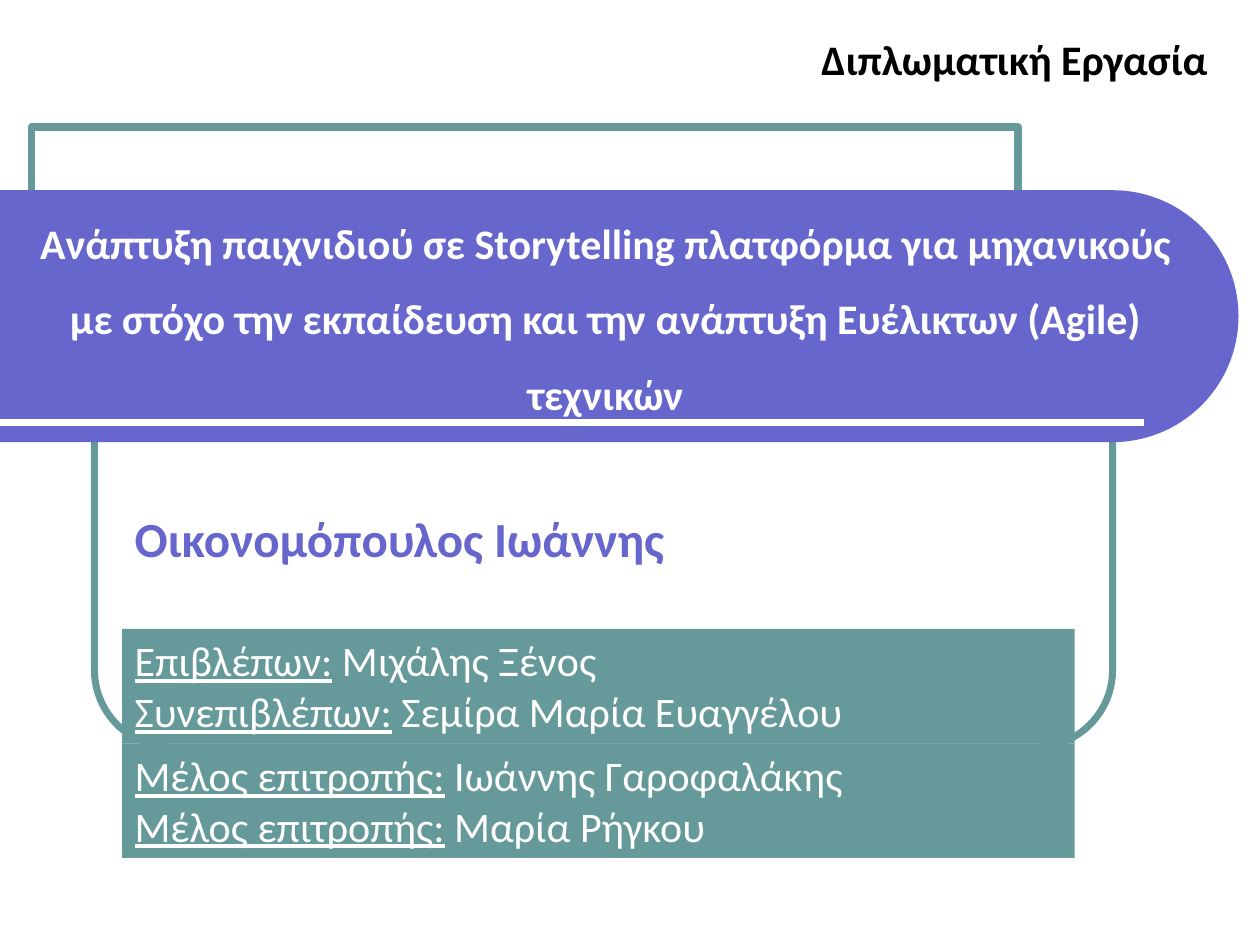
from dataclasses import dataclass
from math import cos, pi, sin

from lxml.etree import SubElement
from pptx import Presentation
from pptx.dml.color import RGBColor
from pptx.enum.shapes import MSO_CONNECTOR, MSO_SHAPE
from pptx.enum.text import MSO_ANCHOR, MSO_AUTO_SIZE, PP_ALIGN
from pptx.oxml.ns import qn
from pptx.util import Inches, Pt


@dataclass(frozen=True)
class Theme:
    font: str = "Calibri"
    violet: RGBColor = RGBColor(0x66, 0x66, 0xCC)
    teal: RGBColor = RGBColor(0x66, 0x99, 0x99)
    white: RGBColor = RGBColor(0xFF, 0xFF, 0xFF)
    black: RGBColor = RGBColor(0, 0, 0)
    body: int = 24
    name: int = 28


theme = Theme()
prs = Presentation()
prs.slide_width, prs.slide_height = Inches(10), Inches(7.5)
COL, ROW = prs.slide_width / 100, prs.slide_height / 75  # 100 x 75 grid
s = prs.slides.add_slide(prs.slide_layouts[5])


def box(left, top, width, height):
    return [round(v) for v in (left * COL, top * ROW, width * COL, height * ROW)]


def add_run(p, text, color, size=theme.body, bold=False, underline=False):
    r = p.add_run()
    r.text = text
    r.font.name, r.font.size = theme.font, Pt(size)
    r.font.bold, r.font.underline = bold, underline
    r.font.color.rgb = color


# Teal frames behind the banner
for kind, place, weight in (
    (MSO_SHAPE.ROUNDED_RECTANGLE, (7.5, 22.6, 80.8, 36.7), 4),
    (MSO_SHAPE.RECTANGLE, (2.5, 10.1, 78.3, 10.8), 4.5),
):
    sp = s.shapes.add_shape(kind, *box(*place))
    sp.shadow.inherit = False
    sp.line.color.rgb, sp.line.width = theme.teal, Pt(weight)
    if kind == MSO_SHAPE.RECTANGLE:
        sp.fill.solid()
        sp.fill.fore_color.rgb = theme.white
    else:
        sp.fill.background()

# Banner with a half-round right end
radius, mid_x, mid_y, steps = 10, 88.3, 25.1, 60
angles = [pi * i / steps - pi / 2 for i in range(steps + 1)]
arc = [((mid_x + radius * cos(a)) * COL, (mid_y + radius * sin(a)) * ROW) for a in angles]
fb = s.shapes.build_freeform(0, round((mid_y - radius) * ROW))
fb.add_line_segments([*arc, (0, (mid_y + radius) * ROW)], close=True)
banner = fb.convert_to_shape()
banner.shadow.inherit = False
banner.fill.solid()
banner.fill.fore_color.rgb = theme.violet
banner.line.fill.background()

# White rule along the banner
rule = s.shapes.add_connector(MSO_CONNECTOR.STRAIGHT, *box(0, 33.5, 90.8, 33.5))
rule.line.color.rgb, rule.line.width = theme.white, Pt(4)
SubElement(rule.element.spPr, qn("a:effectLst"))

# Title, brought in front of the banner
title = s.shapes.title
title.element.getparent().append(title.element)
title.left, title.top, title.width, title.height = box(1.2, 16, 93.7, 16.5)
tf = title.text_frame
tf.word_wrap, tf.auto_size = True, MSO_AUTO_SIZE.NONE
tf.vertical_anchor = MSO_ANCHOR.MIDDLE
p = tf.paragraphs[0]
p.alignment, p.line_spacing = PP_ALIGN.CENTER, 1.5
add_run(p, "Ανάπτυξη παιχνιδιού σε Storytelling πλατφόρμα για μηχανικούς με στόχο "
           "την εκπαίδευση και την ανάπτυξη Ευέλικτων (Agile) τεχνικών",
        theme.white, bold=True)

# Author and kind of work
for text, place, color, size, wrap in (
    ("Οικονομόπουλος Ιωάννης", (9.7, 39.9, 72.5, 8), theme.violet, theme.name, True),
    ("Διπλωματική Εργασία", (64.2, 2.2, 32.9, 5), theme.black, theme.body, False),
):
    tf = s.shapes.add_textbox(*box(*place)).text_frame
    tf.word_wrap = wrap
    add_run(tf.paragraphs[0], text, color, size, bold=True)

# Supervisors and committee, stacked
panels = (
    (("Επιβλέπων:", "Μιχάλης Ξένος"), ("Συνεπιβλέπων:", "Σεμίρα Μαρία Ευαγγέλου")),
    (("Μέλος επιτροπής:", "Ιωάννης Γαροφαλάκης"), ("Μέλος επιτροπής:", "Μαρία Ρήγκου")),
)
panel_height = 9.1
for i, people in enumerate(panels):
    sp = s.shapes.add_shape(MSO_SHAPE.RECTANGLE,
                            *box(9.7, 49.9 + i * panel_height, 75.6, panel_height))
    sp.shadow.inherit = False
    sp.fill.solid()
    sp.fill.fore_color.rgb = theme.teal
    sp.line.fill.background()
    tf = sp.text_frame
    tf.word_wrap, tf.auto_size = True, MSO_AUTO_SIZE.SHAPE_TO_FIT_TEXT
    tf.vertical_anchor = MSO_ANCHOR.TOP
    for j, (role, person) in enumerate(people):
        p = tf.add_paragraph() if j else tf.paragraphs[0]
        p.alignment = PP_ALIGN.LEFT
        add_run(p, role, theme.white, underline=True)
        add_run(p, f" {person}", theme.white)

prs.save("out.pptx")
